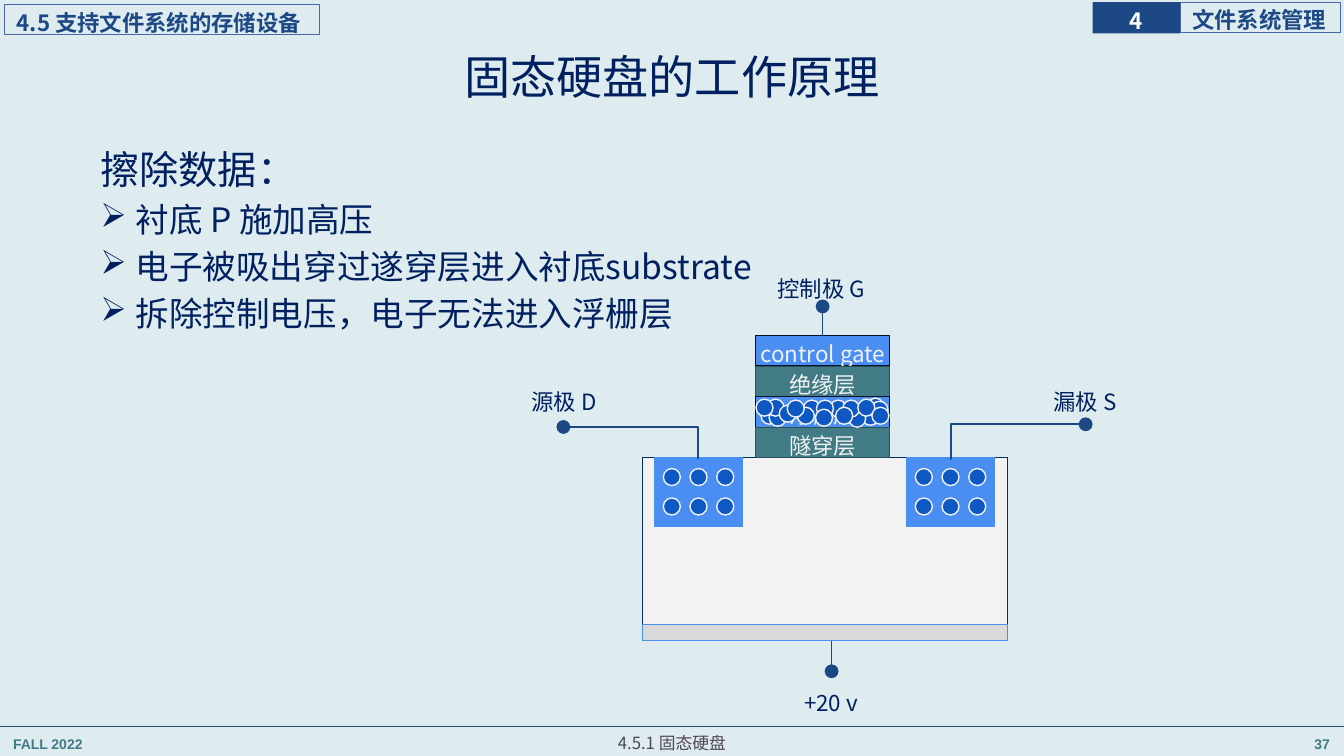
from lxml.etree import SubElement as Sub
from pptx import Presentation
from pptx.dml.color import RGBColor
from pptx.enum.shapes import MSO_CONNECTOR as Link, MSO_SHAPE as Form
from pptx.enum.text import MSO_ANCHOR as Anchor, PP_ALIGN as Align
from pptx.oxml.ns import qn
from pptx.util import Pt

PALE = RGBColor(0xDE, 0xEC, 0xEF)
NAVY = RGBColor(0x00, 0x20, 0x60)
DEEP = RGBColor(0x1C, 0x48, 0x85)
FRAME = RGBColor(0x4A, 0x66, 0xAC)
RULE = RGBColor(0x23, 0x4F, 0x77)
TEAL = RGBColor(0x41, 0x7B, 0x85)
PINE = RGBColor(0x2B, 0x52, 0x59)
BLUE = RGBColor(0x4A, 0x8E, 0xF2)
INK = RGBColor(0x03, 0x12, 0x27)
EDGE = RGBColor(0x07, 0x2C, 0x62)
ROYAL = RGBColor(0x0E, 0x58, 0xC4)
WHITE = RGBColor(0xFF, 0xFF, 0xFF)
LIGHT = RGBColor(0xF2, 0xF2, 0xF2)
GREY = RGBColor(0xD9, 0xD9, 0xD9)
BROWN = RGBColor(0x50, 0x46, 0x52)

DOT = 12.2


class Board:
    font = "Noto Sans CJK SC"

    def __init__(self, slide):
        self.slide = slide
        self.shapes = slide.shapes
        fill = slide.background.fill
        fill.solid()
        fill.fore_color.rgb = PALE

    def style(self, par, size, color, align=Align.LEFT, bold=False,
              font=None, lead=1.2, gap=None):
        face = par.font
        face.size = Pt(size)
        face.bold = bold
        face.color.rgb = color
        face.name = font or self.font
        Sub(face._element, qn("a:ea")).set("typeface", font or self.font)
        par.alignment = align
        par.line_spacing = lead
        if gap is None:
            gap = size / 10
            par.space_after = Pt(gap)
        par.space_before = Pt(gap)

    def shape(self, form, x, y, w, h, fill=None, line=None, width=0.75):
        item = self.shapes.add_shape(form, Pt(x), Pt(y), Pt(w), Pt(h))
        item.shadow.inherit = False
        if fill is None:
            item.fill.background()
        else:
            item.fill.solid()
            item.fill.fore_color.rgb = fill
        if line is None:
            item.line.fill.background()
        else:
            item.line.color.rgb = line
            item.line.width = Pt(width)
        return item

    def rect(self, x, y, w, h, fill=None, line=None):
        return self.shape(Form.RECTANGLE, x, y, w, h, fill, line)

    def dot(self, x, y):
        self.shape(Form.OVAL, x, y, DOT, DOT, ROYAL, LIGHT, 1)

    def label(self, item, text, size, color, left=0, **look):
        frame = item.text_frame
        frame.word_wrap = True
        frame.vertical_anchor = Anchor.MIDDLE
        frame.margin_left = Pt(left)
        frame.margin_right = frame.margin_top = frame.margin_bottom = 0
        par = frame.paragraphs[0]
        par.text = text
        self.style(par, size, color, **look)

    def text(self, x, y, w, h, text, size, color, **look):
        box = self.shapes.add_textbox(Pt(x), Pt(y), Pt(w), Pt(h))
        frame = box.text_frame
        frame.word_wrap = True
        par = frame.paragraphs[0]
        par.text = text
        self.style(par, size, color, **look)
        return frame

    def bullet(self, frame, text, size, color, indent, **look):
        par = frame.add_paragraph()
        par.text = text
        self.style(par, size, color, **look)
        prop = par._p.get_or_add_pPr()
        prop.set("marL", str(Pt(indent)))
        prop.set("indent", str(-Pt(indent)))
        mark = prop.makeelement(qn("a:buChar"), {"char": "➢"})
        prop.find(qn("a:defRPr")).addprevious(mark)

    def line(self, x1, y1, x2, y2, color=DEEP, width=1.25, kind=Link.STRAIGHT):
        link = self.shapes.add_connector(kind, Pt(x1), Pt(y1), Pt(x2), Pt(y2))
        link.line.color.rgb = color
        link.line.width = Pt(width)
        Sub(link._element.spPr, qn("a:effectLst"))
        return link

    def lead(self, x1, y1, x2, y2, bend=None):
        kind = Link.STRAIGHT if bend is None else Link.ELBOW
        link = self.line(x1, y1, x2, y2, kind=kind)
        stroke = link.line._get_or_add_ln()
        Sub(stroke, qn("a:tailEnd"), type="oval", w="lg", len="lg")
        if bend is not None:
            guides = link._element.spPr.find(qn("a:prstGeom")).find(qn("a:avLst"))
            Sub(guides, qn("a:gd"), name="adj1", fmla=f"val {bend}")
        return link

    def well(self, x, y):
        self.rect(x, y, 63.4, 49, BLUE, BLUE)
        for row in range(2):
            for col in range(3):
                self.dot(x + 6.5 + 19.1 * col, y + 7.9 + 21 * row)


ELECTRONS = [
    (543.6, 290.9), (615.6, 291.6), (619.2, 284.4), (592.6, 285.8),
    (622.1, 286.6), (549.4, 292.3), (573.8, 285.8), (569.5, 290.9),
    (547.9, 285.1), (556.6, 289.4), (540, 285.1), (606.2, 293),
    (601.9, 285.8), (596.9, 290.9), (583.2, 285.8), (582.5, 292.3),
    (612.7, 285.1), (562.3, 285.8), (622.8, 290.9),
]

LAYERS = [
    ("control gate", BLUE, INK),
    ("绝缘层", TEAL, PINE),
    ("浮栅层", BLUE, INK),
    ("隧穿层", TEAL, PINE),
]

LABELS = [
    (527.8, 189.4, 117.4, "控制极 G"),
    (360, 270, 85.7, "源极 D"),
    (732.2, 270, 85.7, "漏极 S"),
    (550.8, 484.6, 85.7, "+20 v"),
]

POINTS = [
    "衬底 P 施加高压",
    "电子被吸出穿过遂穿层进入衬底substrate",
    "拆除控制电压，电子无法进入浮栅层",
]


def frame(board):
    for x, text, align in [(2.2, "FALL 2022", Align.LEFT),
                           (756.7, "37", Align.RIGHT)]:
        board.text(x, 519.1, 200.2, 22.3, text, 10, TEAL, align=align,
                   bold=True, font="Arial")
    board.line(-2, 519.1, 960, 519.1, RULE, 0.5)
    part = board.rect(843.1, 1.6, 114.5, 21.6, line=FRAME)
    board.label(part, "文件系统管理", 16, DEEP, left=8.5, bold=True)
    index = board.rect(780.5, 1.6, 62.6, 22.2, DEEP)
    board.label(index, "4", 16, WHITE, align=Align.CENTER, bold=True)
    topic = board.rect(3.4, 3.4, 224.8, 21.6, line=FRAME)
    board.label(topic, "4.5 支持文件系统的存储设备", 16, DEEP, left=8.5, bold=True)
    board.text(120, 517, 720, 23, "4.5.1 固态硬盘", 12, BROWN, align=Align.CENTER)


def words(board):
    body = board.text(66, 105, 828, 406, "擦除数据：", 28, NAVY, lead=0.9, gap=7.5)
    body.margin_left = body.margin_right = Pt(5.8)
    body.margin_top = body.margin_bottom = Pt(2.9)
    for point in POINTS:
        board.bullet(body, point, 24, NAVY, 25, lead=0.9, gap=7.5)
    title = board.text(66, 28.8, 828, 55.4, "固态硬盘的工作原理", 33, NAVY,
                       align=Align.CENTER, lead=0.9, gap=0)
    title.vertical_anchor = Anchor.MIDDLE


def device(board):
    board.rect(459.2, 326.8, 260.6, 131, LIGHT, EDGE)
    board.rect(459.2, 445.8, 260.6, 12, GREY, BLUE)
    for x in (467.3, 647.3):
        board.well(x, 326.8)
    stack = []
    for row, (text, fill, line) in enumerate(LAYERS):
        layer = board.rect(539.6, 239.9 + 21.8 * row, 96, 21.6, fill, line)
        board.label(layer, text, 16, LIGHT, align=Align.CENTER)
        stack.append(layer)
    gate = board.lead(587.6, 239.9, 587.6, 218.9)
    gate.begin_connect(stack[0], 0)
    board.lead(678.6, 328, 775.5, 303.1, 900)
    board.lead(499, 326.9, 402.5, 305, 300)
    board.lead(594, 457.8, 594, 479.5)
    for x, y, w, text in LABELS:
        board.text(x, y, w, 28.8, text, 16, NAVY, align=Align.CENTER)
    for x, y in ELECTRONS:
        board.dot(x, y)


def main():
    deck = Presentation()
    deck.slide_width, deck.slide_height = Pt(960), Pt(540)
    board = Board(deck.slides.add_slide(deck.slide_layouts[6]))
    frame(board)
    words(board)
    device(board)
    deck.save("out.pptx")


if __name__ == "__main__":
    main()
